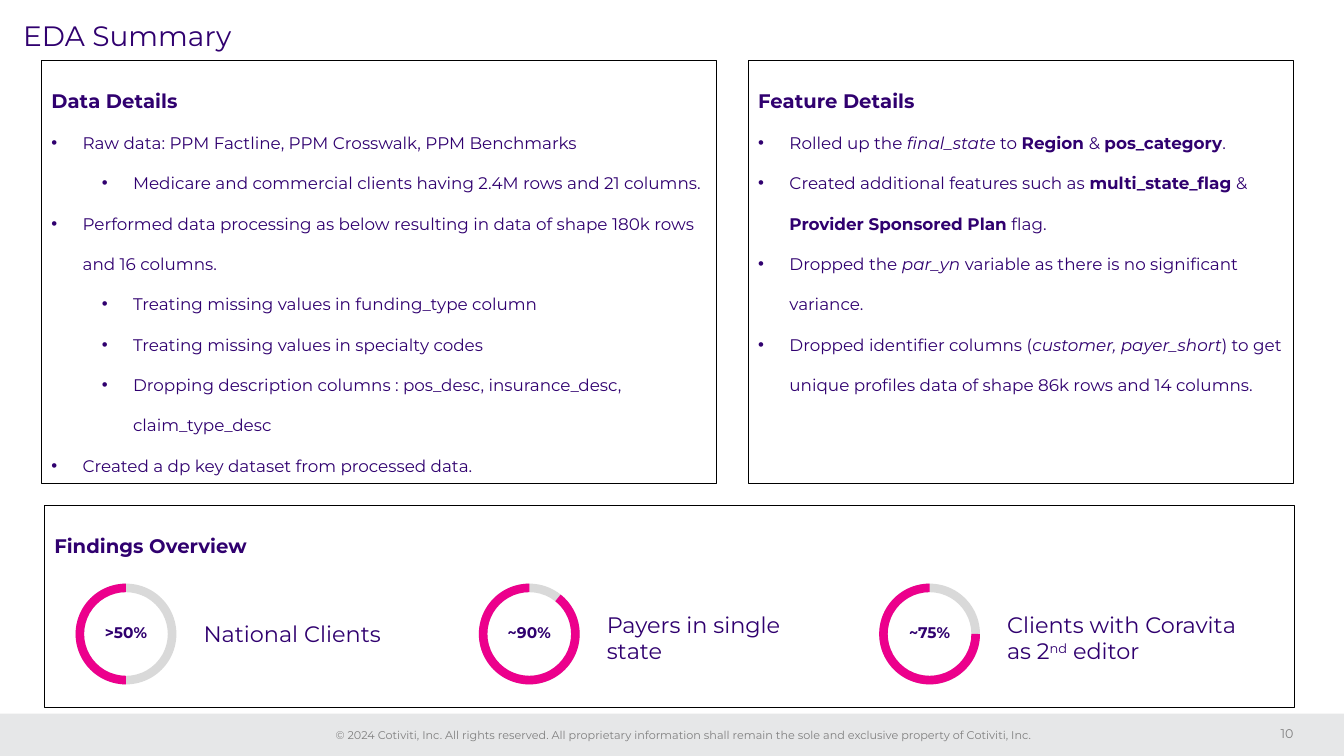
from lxml import etree
from pptx import Presentation
from pptx import util as u
from pptx.dml.color import RGBColor
from pptx.enum import shapes, text
from pptx.oxml import ns

INK = RGBColor(0x30, 0x00, 0x6F)
PINK = RGBColor(0xEC, 0x00, 0x8C)
TRACK = RGBColor(0xD9, 0xD9, 0xD9)
BAR = RGBColor(0xE6, 0xE7, 0xE8)
GREY = RGBColor(0x80, 0x80, 0x80)
BLACK = RGBColor(0, 0, 0)
FACE = "Montserrat"
LEFT, MID, RIGHT = text.PP_ALIGN.LEFT, text.PP_ALIGN.CENTER, text.PP_ALIGN.RIGHT
TOP, CENTER = text.MSO_ANCHOR.TOP, text.MSO_ANCHOR.MIDDLE

DATA = [
    (0, ["Raw data: PPM Factline, PPM Crosswalk, PPM Benchmarks"]),
    (1, ["Medicare and commercial clients having 2.4M rows and 21 columns."]),
    (0, ["Performed data processing as below resulting in data of shape 180k rows and 16 columns."]),
    (1, ["Treating missing values in funding_type column"]),
    (1, ["Treating missing values in specialty codes"]),
    (1, ["Dropping description columns : pos_desc, insurance_desc, claim_type_desc"]),
    (0, ["Created a dp key dataset from processed data."]),
]
FEATURES = [
    (0, ["Rolled up the ", ("final_state ", "italic"), "to ", ("Region ", "bold"), "& ",
         ("pos_category", "bold"), "."]),
    (0, ["Created additional features such as ", ("multi_state_flag ", "bold"), "& ",
         ("Provider Sponsored Plan", "bold"), " flag."]),
    (0, ["Dropped the ", ("par_yn ", "italic"), "variable as there is no significant variance."]),
    (0, ["Dropped identifier columns (", ("customer, payer_short", "italic"),
         ") to get unique profiles data of shape 86k rows and 14 columns."]),
]
FINDINGS = [
    (0.75, 90, ">50%", 6.1, 2.32, ["National Clients"]),
    (4.75, 308.5, "~90%", 6.01, 2.32, ["Payers in single state"]),
    (8.72, 0, "~75%", 6.01, 2.73, ["Clients with Coravita as 2", ("nd", "super"), " editor"]),
]


def place(shape, box):
    """Move a shape to a box given in inches."""
    for name, size in zip(("left", "top", "width", "height"), box):
        setattr(shape, name, u.Inches(size))


def frame(shape, inset=(0.1, 0.05), anchor=TOP, wrap=True):
    """Set up the text frame of a shape and return it."""
    body = shape.text_frame
    side, edge = (u.Inches(size) for size in inset)
    form = {"margin_left": side, "margin_right": side, "margin_top": edge,
            "margin_bottom": edge, "vertical_anchor": anchor, "word_wrap": wrap,
            "auto_size": text.MSO_AUTO_SIZE.NONE}
    for name, value in form.items():
        setattr(body, name, value)
    return body


def write(para, runs, size, color=INK, bold=False, align=LEFT, space=1.0):
    """Fill a paragraph with plain and styled runs."""
    form = {"alignment": align, "line_spacing": space,
            "space_before": u.Pt(0), "space_after": u.Pt(0)}
    for name, value in form.items():
        setattr(para, name, value)
    for item in runs:
        words, style = (item, "") if isinstance(item, str) else item
        run = para.add_run()
        run.text = words
        form = {"name": FACE, "size": u.Pt(size), "bold": bold or style == "bold",
                "italic": style == "italic"}
        for name, value in form.items():
            setattr(run.font, name, value)
        run.font.color.rgb = color
        if style == "super":
            run.font._element.set("baseline", "30000")


def bullet(para, level):
    """Give a paragraph a hanging bullet, or none when level is None."""
    prop = para._p.get_or_add_pPr()
    hang = 0 if level is None else 0.31
    prop.set("marL", str(u.Inches(hang + 0.5 * (level or 0))))
    prop.set("indent", str(u.Inches(-hang)))
    if level is None:
        etree.SubElement(prop, ns.qn("a:buNone"))
    else:
        para.level = level
        etree.SubElement(prop, ns.qn("a:buFont")).set("typeface", "Arial")
        etree.SubElement(prop, ns.qn("a:buChar")).set("char", "•")


def draw(slide, kind, box, fill=None):
    """Add a flat preset shape without an outline."""
    shape = slide.shapes.add_shape(kind, *map(u.Inches, box))
    shape.shadow.inherit = False
    shape.line.fill.background()
    if fill is None:
        shape.fill.background()
    else:
        shape.fill.solid()
        shape.fill.fore_color.rgb = fill
    return shape


def label(slide, box, runs, size, color=INK, bold=False, align=LEFT, **form):
    """Add a one-paragraph text box."""
    body = frame(slide.shapes.add_textbox(*map(u.Inches, box)), **form)
    write(body.paragraphs[0], runs, size, color, bold, align)


def edge(shape):
    """Outline a panel with a hairline."""
    shape.line.color.rgb = BLACK
    shape.line.width = u.Pt(0.25)


def panel(holder, box, head, items):
    """Lay out a bordered panel with a heading and bullets."""
    place(holder, box)
    edge(holder)
    body = frame(holder)
    first = body.paragraphs[0]
    bullet(first, None)
    write(first, [head], 14, bold=True, space=2.0)
    for level, runs in items:
        para = body.add_paragraph()
        bullet(para, level)
        write(para, runs, 12, space=2.0)


def ring(slide, box, start, value):
    """Draw a progress ring that fills clockwise from start to the top."""
    left, top, width, _ = box
    track = draw(slide, shapes.MSO_SHAPE.DONUT, box, TRACK)
    track.adjustments[0] = 0.085
    arc = draw(slide, shapes.MSO_SHAPE.BLOCK_ARC, box, PINK)
    for place_no, amount in enumerate((start * 0.6, 270 * 0.6, 0.085)):
        arc.adjustments[place_no] = amount
    label(slide, (left + (width - 0.63) / 2, top + 0.34, 0.63, 0.4), [value], 11,
          bold=True, align=MID, wrap=False)


def findings(slide, box):
    """Lay out the findings panel with its rings and captions."""
    left, top = box[:2]
    for x, start, value, y, width, runs in FINDINGS:
        ring(slide, (x, top + 0.78, 1, 1), start, value)
        label(slide, (x + 1.17, y, width, 0.4), runs, 16)
    pane = draw(slide, shapes.MSO_SHAPE.RECTANGLE, box)
    edge(pane)
    write(frame(pane).paragraphs[0], ["Findings Overview"], 14, bold=True, space=2.0)


def footer(slide, box):
    """Draw the footer bar with its notice and page number."""
    top = box[1]
    draw(slide, shapes.MSO_SHAPE.RECTANGLE, box, BAR)
    label(slide, (3.2, top + 0.1, 7.17, 0.24),
          ["© 2024 Cotiviti, Inc. All rights reserved. All proprietary information shall "
           "remain the sole and exclusive property of Cotiviti, Inc."],
          8, GREY, align=MID, wrap=False)
    label(slide, (12.3, top + 0.05, 0.53, 0.3), ["10"], 9, GREY, align=RIGHT,
          inset=(0, 0), anchor=CENTER)


def main():
    """Build and save the summary slide."""
    deck = Presentation()
    deck.slide_width, deck.slide_height = u.Inches(13.33), u.Inches(7.5)
    slide = deck.slides.add_slide(deck.slide_layouts[3])
    title, data, feats = slide.placeholders
    footer(slide, (0, 7.08, 13.33, 0.42))
    place(title, (0.23, 0.22, 12.33, 0.49))
    write(frame(title, (0, 0)).paragraphs[0], ["EDA Summary"], 20, space=0.9)
    panel(data, (0.41, 0.6, 6.69, 4.19), "Data Details", DATA)
    panel(feats, (7.42, 0.6, 5.41, 4.19), "Feature Details", FEATURES)
    findings(slide, (0.44, 5.01, 12.4, 2.01))
    deck.save("out.pptx")


if __name__ == "__main__":
    main()
